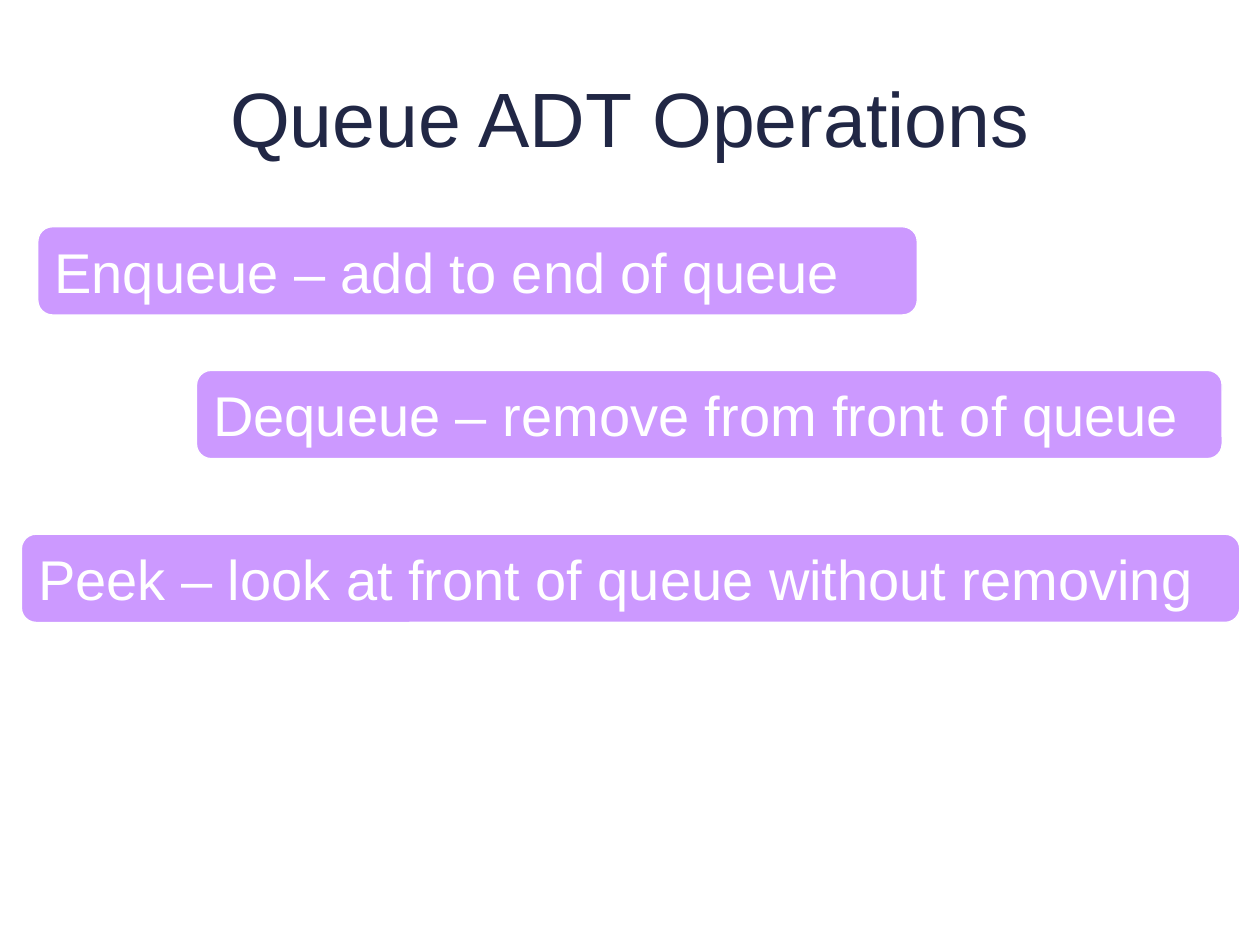
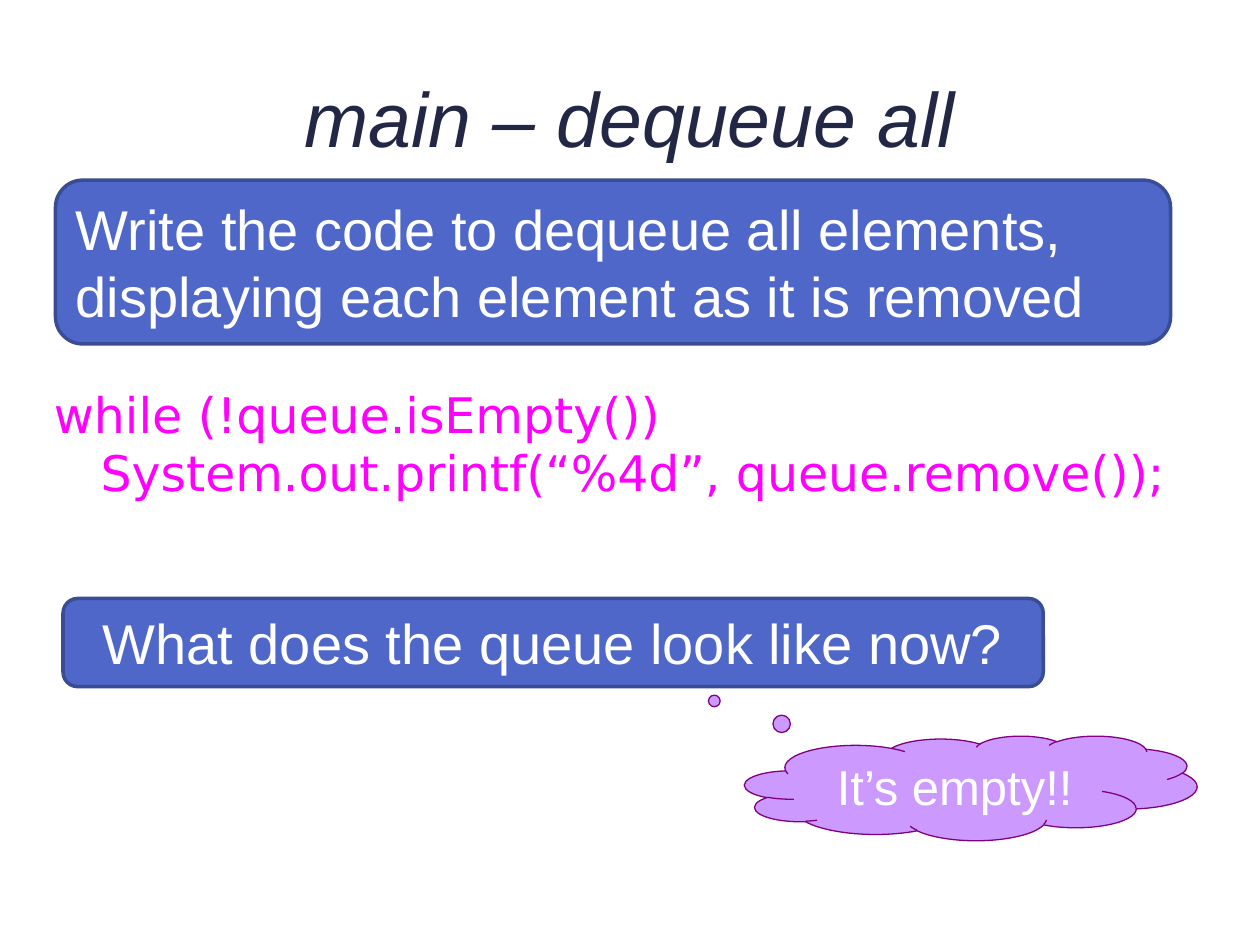
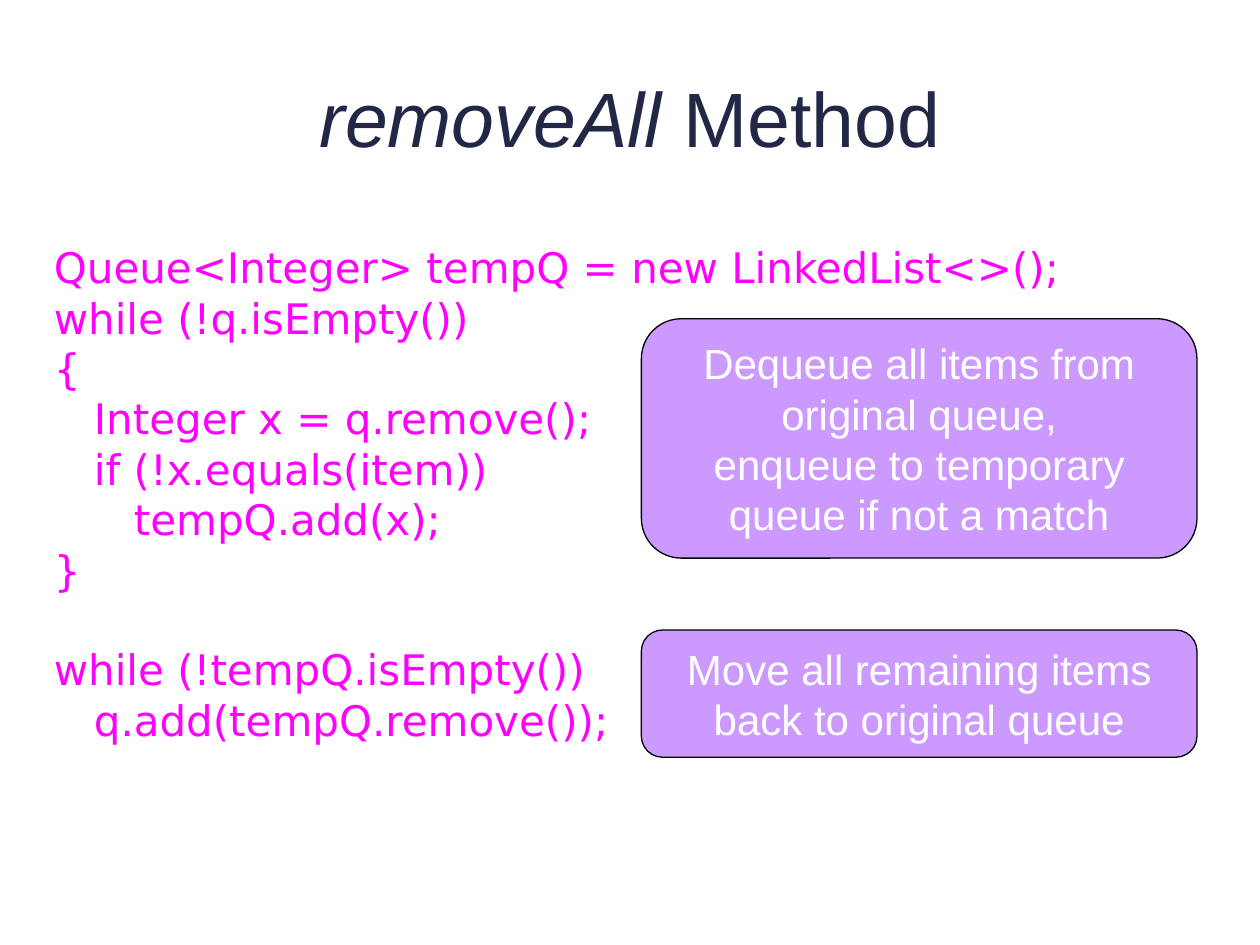
from pptx import Presentation
from pptx.dml.color import RGBColor
from pptx.enum.shapes import MSO_SHAPE
from pptx.enum.text import MSO_ANCHOR, MSO_AUTO_SIZE, PP_ALIGN
from pptx.util import Inches, Pt

ROUNDED, CLOUD = MSO_SHAPE.ROUNDED_RECTANGLE, MSO_SHAPE.CLOUD_CALLOUT
TOP, MIDDLE = MSO_ANCHOR.TOP, MSO_ANCHOR.MIDDLE
LEFT, CENTER = PP_ALIGN.LEFT, PP_ALIGN.CENTER
GROW = MSO_AUTO_SIZE.SHAPE_TO_FIT_TEXT

TEXT_FONT, CODE_FONT = "Arial", "DejaVu Sans"
NAVY, WHITE, BLACK, MAGENTA = "212745", "FFFFFF", "000000", "FF00FF"
LILAC, PURPLE, BLUE, DARK_BLUE = "CC99FF", "800080", "4E67C8", "3A4C94"
TITLE_BOX = (0.5, 0.3, 9, 1.25)

# Card styles: fill, line colour, line width, text size, anchor, alignment
OPERATION = (LILAC, WHITE, 0.75, 32, TOP, LEFT)
TASK = (BLUE, DARK_BLUE, 2, 32, TOP, LEFT)
QUESTION = (BLUE, DARK_BLUE, 2, 32, TOP, CENTER)
ANSWER = (LILAC, PURPLE, 0.75, 28, MIDDLE, CENTER)
EXPLANATION = (LILAC, BLACK, 0.75, 24, MIDDLE, CENTER)

# Titles are (text, italic) pieces; code is a list of blocks set apart by one line.
SLIDES = [
    {
        "title": [("Queue ADT Operations", False)],
        "cards": [
            (OPERATION, ROUNDED, (0.3, 1.8, 6.98, 0.7), "Enqueue – add to end of queue"),
            (OPERATION, ROUNDED, (1.56, 2.94, 8.14, 0.7), "Dequeue – remove from front of queue"),
            (OPERATION, ROUNDED, (0.17, 4.24, 9.67, 0.7),
             "Peek – look at front of queue without removing"),
        ],
    },
    {
        "title": [("main – dequeue all", True)],
        "code_box": (0.33, 3, 9.33, 1.04),
        "code_size": 28,
        "code": [["while (!queue.isEmpty())",
                  "   System.out.printf(“%4d”, queue.remove());"]],
        "cards": [
            (ANSWER, CLOUD, (5.91, 5.84, 3.59, 0.83), "It’s empty!!"),
            (TASK, ROUNDED, (0.44, 1.43, 8.85, 1.3),
             "Write the code to dequeue all elements, displaying each element as it is removed"),
            (QUESTION, ROUNDED, (0.5, 4.75, 7.78, 0.7), "What does the queue look like now?"),
        ],
    },
    {
        "title": [("removeAll ", True), ("Method", False)],
        "code_box": (0.33, 1.87, 9.5, 4.14),
        "code_size": 24,
        "code": [
            ["Queue<Integer> tempQ = new LinkedList<>();",
             "while (!q.isEmpty())",
             "{",
             "   Integer x = q.remove();",
             "   if (!x.equals(item))",
             "      tempQ.add(x);",
             "}"],
            ["while (!tempQ.isEmpty())",
             "   q.add(tempQ.remove());"],
        ],
        "cards": [
            (EXPLANATION, ROUNDED, (5.09, 2.53, 4.41, 1.9),
             "Dequeue all items from original queue,\nenqueue to temporary queue if not a match"),
            (EXPLANATION, ROUNDED, (5.09, 5, 4.41, 1.01),
             "Move all remaining items back to original queue"),
        ],
    },
]
CLOUD_TAIL = (-0.704, -1.035)
LINE_HEIGHT = 1.17  # of the code font, relative to its size


def rgb(color):
    return RGBColor.from_string(color)


def inches(box):
    return [Inches(length) for length in box]


def style_font(font, name, size, color):
    font.name, font.size, font.color.rgb = name, Pt(size), rgb(color)


def add_title(slide, pieces):
    title = slide.shapes.title
    title.left, title.top, title.width, title.height = inches(TITLE_BOX)
    title.text_frame.vertical_anchor = MIDDLE
    paragraph = title.text_frame.paragraphs[0]
    paragraph.alignment = CENTER
    for text, italic in pieces:
        run = paragraph.add_run()
        run.text = text
        style_font(run.font, TEXT_FONT, 44, NAVY)
        run.font.italic = italic


def add_code(slide, blocks, box, size):
    frame = slide.shapes.add_textbox(*inches(box)).text_frame
    frame.word_wrap = True
    frame.auto_size = GROW
    frame.text = "\n".join(line for block in blocks for line in block)
    for paragraph in frame.paragraphs:
        style_font(paragraph.runs[0].font, CODE_FONT, size, MAGENTA)
    first_line = 0
    for block in blocks[:-1]:
        first_line += len(block)
        frame.paragraphs[first_line].space_before = Pt(round(size * LINE_HEIGHT))


def add_card(slide, style, outline, box, text):
    fill, line, line_width, size, anchor, alignment = style
    card = slide.shapes.add_shape(outline, *inches(box))
    card.shadow.inherit = False
    card.fill.solid()
    card.fill.fore_color.rgb = rgb(fill)
    card.line.color.rgb = rgb(line)
    card.line.width = Pt(line_width)
    if outline == CLOUD:
        card.adjustments[0], card.adjustments[1] = CLOUD_TAIL
    frame = card.text_frame
    frame.word_wrap = True
    frame.auto_size = GROW
    frame.vertical_anchor = anchor
    frame.text = text
    for paragraph in frame.paragraphs:
        paragraph.alignment = alignment
        style_font(paragraph.runs[0].font, TEXT_FONT, size, WHITE)


def main():
    deck = Presentation()
    deck.slide_width, deck.slide_height = Inches(10), Inches(7.5)
    title_only = deck.slide_layouts[5]
    for content in SLIDES:
        slide = deck.slides.add_slide(title_only)
        add_title(slide, content["title"])
        if "code" in content:
            add_code(slide, content["code"], content["code_box"], content["code_size"])
        for card in content["cards"]:
            add_card(slide, *card)
    deck.save("out.pptx")


if __name__ == "__main__":
    main()
